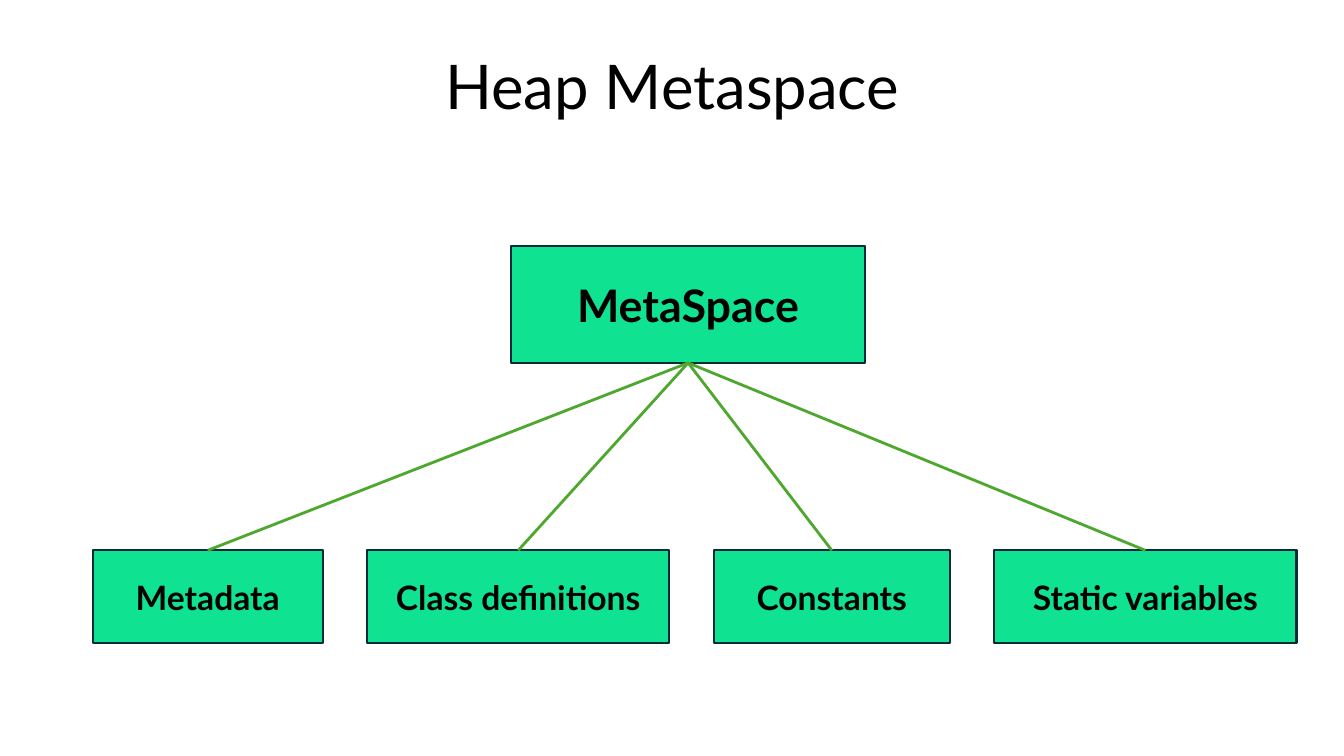
from dataclasses import dataclass

from lxml import etree
from pptx import Presentation
from pptx.dml.color import RGBColor
from pptx.enum.shapes import MSO_CONNECTOR, MSO_SHAPE
from pptx.enum.text import MSO_ANCHOR, PP_ALIGN
from pptx.oxml.ns import qn
from pptx.util import Pt

RECT = MSO_SHAPE.RECTANGLE
STRAIGHT = MSO_CONNECTOR.STRAIGHT
MIDDLE = MSO_ANCHOR.MIDDLE
CENTER = PP_ALIGN.CENTER
TITLE_ONLY = 5
TOP, BOTTOM = 0, 2
EMU_PER_PX = 9144


@dataclass(frozen=True)
class Theme:
    font: str = "Lato"
    text: str = "000000"
    fill: str = "0FE392"
    border: str = "092A39"
    link: str = "4EA72E"
    title_size: int = 44
    root_size: int = 32
    leaf_size: int = 24
    border_width: float = 1.5
    link_width: float = 2


THEME = Theme()
LEAVES = [
    ("Metadata", 228),
    ("Class definitions", 300),
    ("Constants", 234),
    ("Static variables", 300),
]
LEAF_LEFT, LEAF_TOP, LEAF_HEIGHT, LEAF_GAP = 92, 546, 92, 44


def px(n):
    return n * EMU_PER_PX


def set_attrs(obj, values):
    for name, value in values.items():
        setattr(obj, name, value)


def set_line(line, color, width):
    line.color.rgb = RGBColor.from_string(color)
    line.width = Pt(width)


def write_text(sp, text, size, bold, spacing=None):
    tf = sp.text_frame
    set_attrs(tf, {"word_wrap": True, "vertical_anchor": MIDDLE})
    p = tf.paragraphs[0]
    set_attrs(p, {"alignment": CENTER, "line_spacing": spacing})
    r = p.add_run()
    r.text = text
    set_attrs(r.font, {"name": THEME.font, "size": Pt(size), "bold": bold})
    r.font.color.rgb = RGBColor.from_string(THEME.text)


def add_title(s, text, left, top, width, height):
    sp = s.shapes.title
    set_attrs(sp, {"left": px(left), "top": px(top),
                   "width": px(width), "height": px(height)})
    write_text(sp, text, THEME.title_size, False, 0.9)


def add_box(s, text, size, left, top, width, height):
    sp = s.shapes.add_shape(RECT, px(left), px(top), px(width), px(height))
    sp.shadow.inherit = False
    sp.fill.solid()
    sp.fill.fore_color.rgb = RGBColor.from_string(THEME.fill)
    set_line(sp.line, THEME.border, THEME.border_width)
    write_text(sp, text, size, True)
    return sp


def add_link(s, parent, child):
    cxn = s.shapes.add_connector(STRAIGHT, 0, 0, 0, 0)
    cxn.begin_connect(parent, BOTTOM)
    cxn.end_connect(child, TOP)
    set_line(cxn.line, THEME.link, THEME.link_width)
    etree.SubElement(cxn._element.spPr, qn("a:effectLst"))


def main():
    prs = Presentation()
    set_attrs(prs, {"slide_width": px(1333), "slide_height": px(750)})
    s = prs.slides.add_slide(prs.slide_layouts[TITLE_ONLY])
    add_title(s, "Heap Metaspace", 92, 16, 1150, 145)
    root = add_box(s, "MetaSpace", THEME.root_size, 507, 244, 351, 116)
    left = LEAF_LEFT
    for text, width in LEAVES:
        leaf = add_box(s, text, THEME.leaf_size, left, LEAF_TOP, width, LEAF_HEIGHT)
        add_link(s, root, leaf)
        left += width + LEAF_GAP
    prs.save("out.pptx")


if __name__ == "__main__":
    main()
